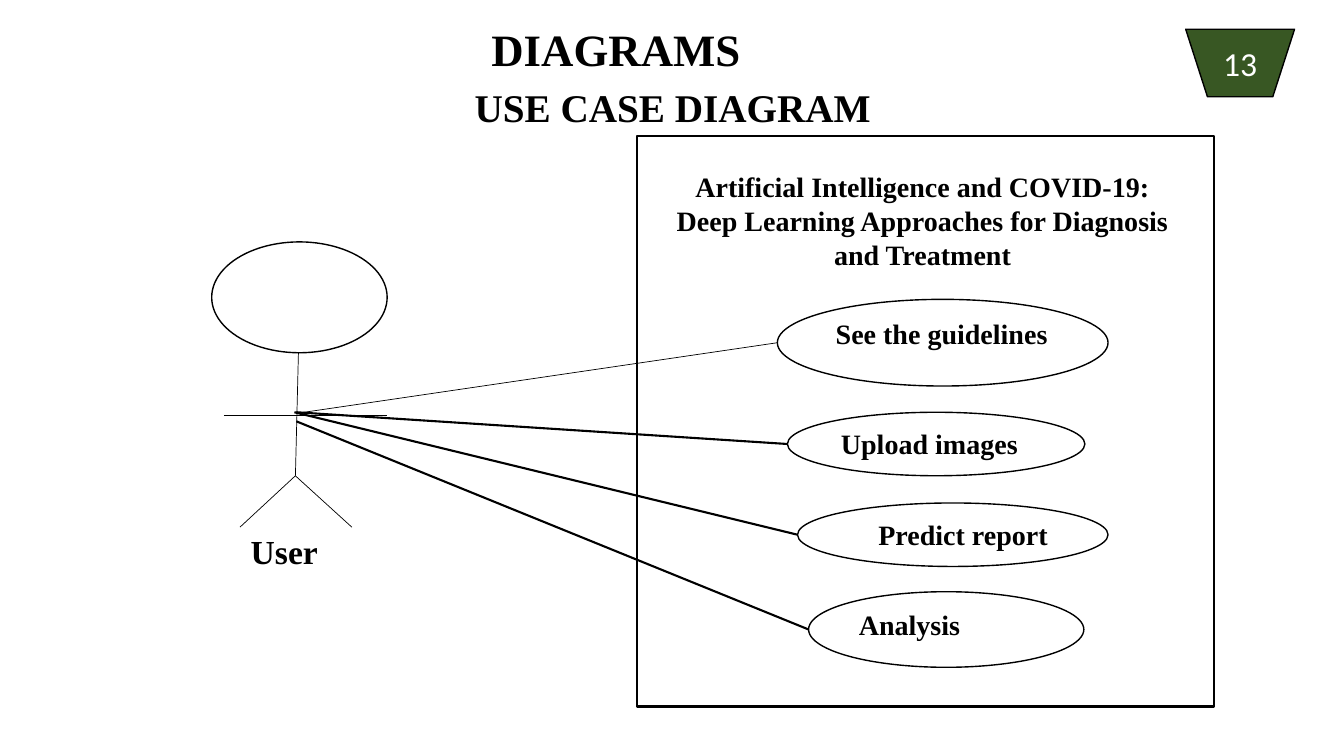
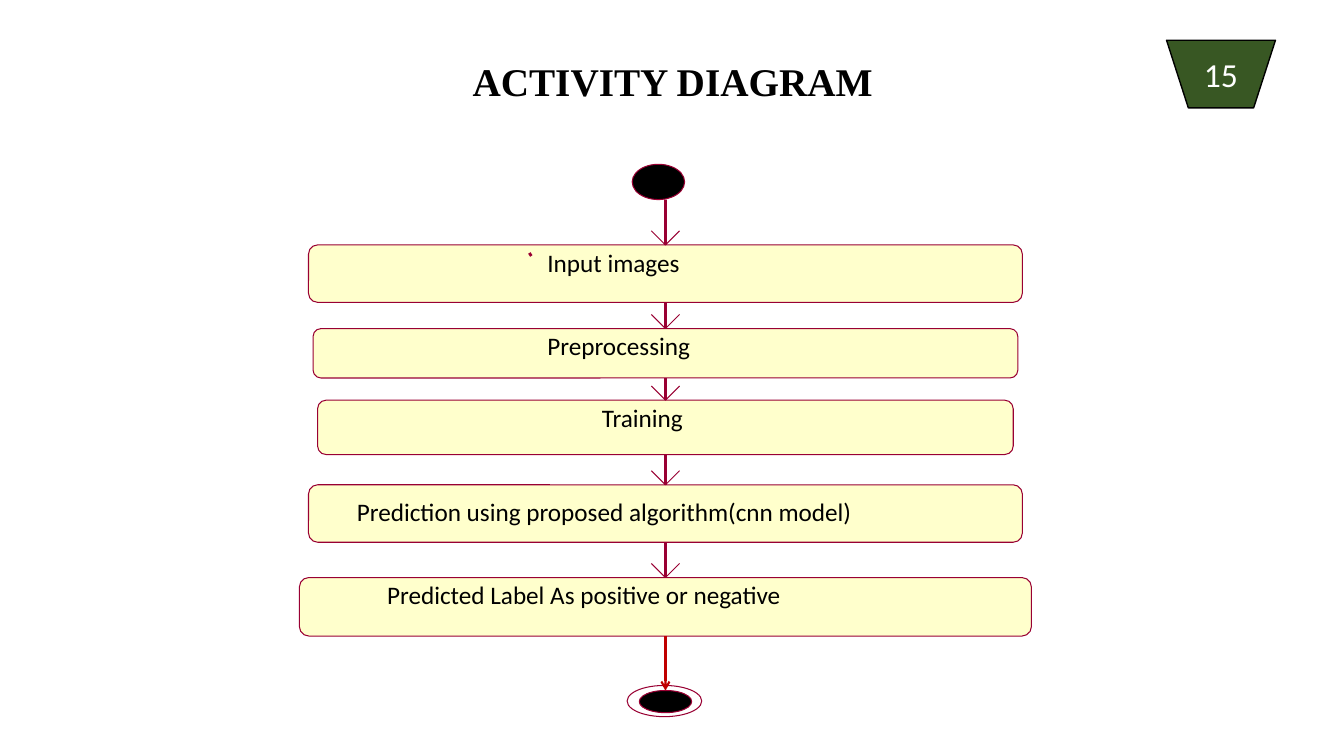
"""Build a use case slide and an activity diagram slide."""
import pptx
import pptx.util
import pptx.dml.color
import pptx.enum.shapes
import pptx.enum.text
import pptx.oxml.ns
import lxml.etree

Inches = pptx.util.Inches
Pt = pptx.util.Pt
hue = pptx.dml.color.RGBColor.from_string
qn = pptx.oxml.ns.qn
SHAPE = pptx.enum.shapes.MSO_SHAPE
LINE = pptx.enum.shapes.MSO_CONNECTOR.STRAIGHT
ALIGN = pptx.enum.text.PP_ALIGN
ANCHOR = pptx.enum.text.MSO_ANCHOR
BLACK, WHITE, GREEN = "000000", "FFFFFF", "385723"
CREAM, WINE, RED = "FFFFCC", "990033", "C00000"
SERIF, SANS = "Times New Roman", "Calibri"


def draw(item, line, width, fill=None, arrow=False):
    """Set the line, fill, arrowhead and missing shadow of a shape or connector."""
    item.line.color.rgb = hue(line)
    item.line.width = Pt(width)
    if arrow:
        edge = item.element.spPr.find(qn("a:ln"))
        lxml.etree.SubElement(edge, qn("a:tailEnd"), type="arrow")
    if not hasattr(item, "fill"):
        lxml.etree.SubElement(item.element.spPr, qn("a:effectLst"))
        return
    item.shadow.inherit = False
    if fill:
        item.fill.solid()
        item.fill.fore_color.rgb = hue(fill)
    else:
        item.fill.background()


def write(item, text, size=20, font=SERIF, color=BLACK, bold=True,
          align=ALIGN.CENTER, anchor=ANCHOR.MIDDLE, inset=(0.1, 0.05), space=1.0):
    """Put formatted text into a shape."""
    frame = item.text_frame
    frame.word_wrap = True
    frame.auto_size = pptx.enum.text.MSO_AUTO_SIZE.NONE
    frame.vertical_anchor = anchor
    frame.margin_left, frame.margin_top = [Inches(v) for v in inset]
    frame.margin_right = Inches(min(inset[0], 0.1))
    frame.margin_bottom = Inches(inset[1])
    para = frame.paragraphs[0]
    para.alignment = align
    para.line_spacing = space
    run = para.add_run()
    run.text = text
    run.font.size = Pt(size)
    run.font.name = font
    run.font.bold = bold
    run.font.color.rgb = hue(color)


deck = pptx.Presentation()
deck.slide_width, deck.slide_height = Inches(13.33), Inches(7.5)

pages = []
for title, top, high, number, left, up in [
    ("USE CASE DIAGRAM", 0.96, 0.25, "13", 11.76, 0.29),
    ("ACTIVITY DIAGRAM", 0.4, 0.87, "15", 11.57, 0.4),
]:
    slide = deck.slides.add_slide(deck.slide_layouts[5])
    head = slide.shapes.title
    head.left, head.top = Inches(0.92), Inches(top)
    head.width, head.height = Inches(11.5), Inches(high)
    write(head, title, size=28, space=0.9)
    badge = slide.shapes.add_shape(SHAPE.FLOWCHART_MANUAL_OPERATION, Inches(left),
                                   Inches(up), Inches(1.08), Inches(0.67))
    draw(badge, BLACK, 1, GREEN)
    write(badge, number, size=24, font=SANS, color=WHITE, bold=False)
    pages.append(slide.shapes)
cases, flow = pages

for text, size, left, top, wide, high, anchor, inset in [
    ("DIAGRAMS", 32, 0.84, 0.14, 10.54, 0.68, ANCHOR.MIDDLE, (0.1, 0.05)),
    ("User", 24, 1.99, 5.27, 1.66, 0.81, ANCHOR.TOP, (0, 0)),
    ("Artificial Intelligence and COVID-19: Deep Learning Approaches for "
     "Diagnosis and Treatment", 20, 6.58, 1.65, 5.14, 1.07, ANCHOR.MIDDLE, (0.1, 0.05)),
]:
    label = cases.add_textbox(Inches(left), Inches(top), Inches(wide), Inches(high))
    write(label, text, size=size, anchor=anchor, inset=inset)

face = cases.add_shape(SHAPE.OVAL, Inches(2.1), Inches(2.4), Inches(1.74), Inches(1.1))
draw(face, BLACK, 1, WHITE)
for x1, y1, x2, y2 in [(2.96, 3.5, 2.93, 4.72), (2.22, 4.12, 3.84, 4.12)]:
    limb = cases.add_connector(LINE, Inches(x1), Inches(y1), Inches(x2), Inches(y2))
    draw(limb, BLACK, 0.5)
legs = cases.build_freeform(Inches(2.38), Inches(5.23))
legs.add_line_segments([(Inches(2.93), Inches(4.72)), (Inches(3.49), Inches(5.23))],
                       close=False)
draw(legs.convert_to_shape(), BLACK, 0.5)

bound = cases.add_shape(SHAPE.RECTANGLE, Inches(6.32), Inches(1.35),
                        Inches(5.72), Inches(5.66))
draw(bound, BLACK, 1.5)
for text, left, top, wide, high, inset, x, y, width in [
    ("See the guidelines", 7.71, 2.97, 3.28, 0.86, 0.1, 2.95, 4.1, 0.5),
    ("Upload images", 7.81, 4.09, 2.95, 0.63, 0.1, 2.94, 4.09, 1.5),
    ("Predict report", 7.91, 4.99, 3.08, 0.63, 0.35, 2.92, 4.09, 1.5),
    ("Analysis", 8.02, 5.87, 2.73, 0.75, 0.1, 2.94, 4.18, 1.5),
]:
    oval = cases.add_shape(SHAPE.OVAL, Inches(left), Inches(top), Inches(wide), Inches(high))
    draw(oval, BLACK, 1, WHITE)
    write(oval, text, align=ALIGN.LEFT, anchor=ANCHOR.TOP, inset=(inset, 0.05))
    link = cases.add_connector(LINE, Inches(x), Inches(y),
                               Inches(left), Inches(top + high / 2))
    draw(link, BLACK, width)

axis = 6.6
for left, top, wide, high, fill in [
    (6.27, 1.63, 0.52, 0.35, BLACK),
    (6.22, 6.8, 0.74, 0.31, None),
    (6.34, 6.85, 0.52, 0.22, BLACK),
]:
    node = flow.add_shape(SHAPE.OVAL, Inches(left), Inches(top), Inches(wide), Inches(high))
    draw(node, WINE, 0, fill)

prior = None
for text, top, wide, high, left, drop in [
    ("Input images", 2.43, 7.08, 0.57, 5.43, 0.02),
    ("Preprocessing", 3.26, 6.99, 0.49, 5.43, 0.02),
    ("Training", 3.97, 6.9, 0.54, 5.97, 0.02),
    ("Prediction using proposed algorithm(cnn model)", 4.81, 7.08, 0.57, 3.54, 0.11),
    ("Predicted Label As positive or negative", 5.73, 7.26, 0.58, 3.84, 0.02),
]:
    step = flow.add_shape(SHAPE.ROUNDED_RECTANGLE, Inches(axis - wide / 2), Inches(top),
                          Inches(wide), Inches(high))
    step.adjustments[0] = 0.16
    draw(step, WINE, 0, CREAM)
    label = flow.add_textbox(Inches(left), Inches(top + drop), Inches(6.36), Inches(0.3))
    write(label, text, size=18, font=SANS, bold=False, align=ALIGN.LEFT,
          anchor=ANCHOR.TOP, inset=(0, 0))
    shaft = flow.add_connector(LINE, Inches(axis), Inches(1.98), Inches(axis), Inches(top))
    if prior:
        shaft.begin_connect(prior, 2)
    shaft.end_connect(step, 0)
    draw(shaft, WINE, 0)
    tip = flow.build_freeform(Inches(axis - 0.14), Inches(top - 0.14))
    tip.add_line_segments([(Inches(axis), Inches(top)),
                           (Inches(axis + 0.14), Inches(top - 0.14))], close=False)
    draw(tip.convert_to_shape(), WINE, 0)
    prior = step

tick = flow.add_connector(LINE, Inches(5.27), Inches(2.54), Inches(5.25), Inches(2.51))
draw(tick, WINE, 0)
last = flow.add_connector(LINE, Inches(axis), Inches(6.31), Inches(axis), Inches(6.85))
last.begin_connect(prior, 2)
draw(last, RED, 1.5, arrow=True)

deck.save("out.pptx")
